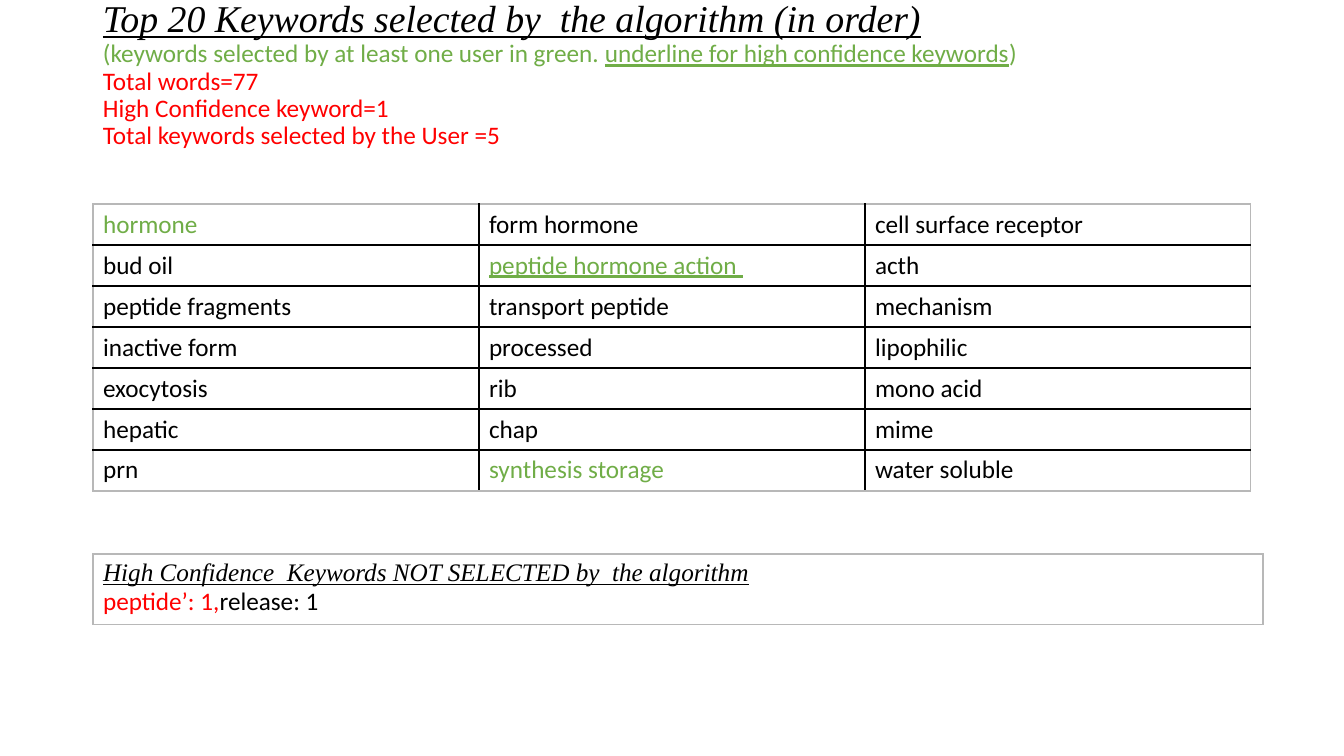
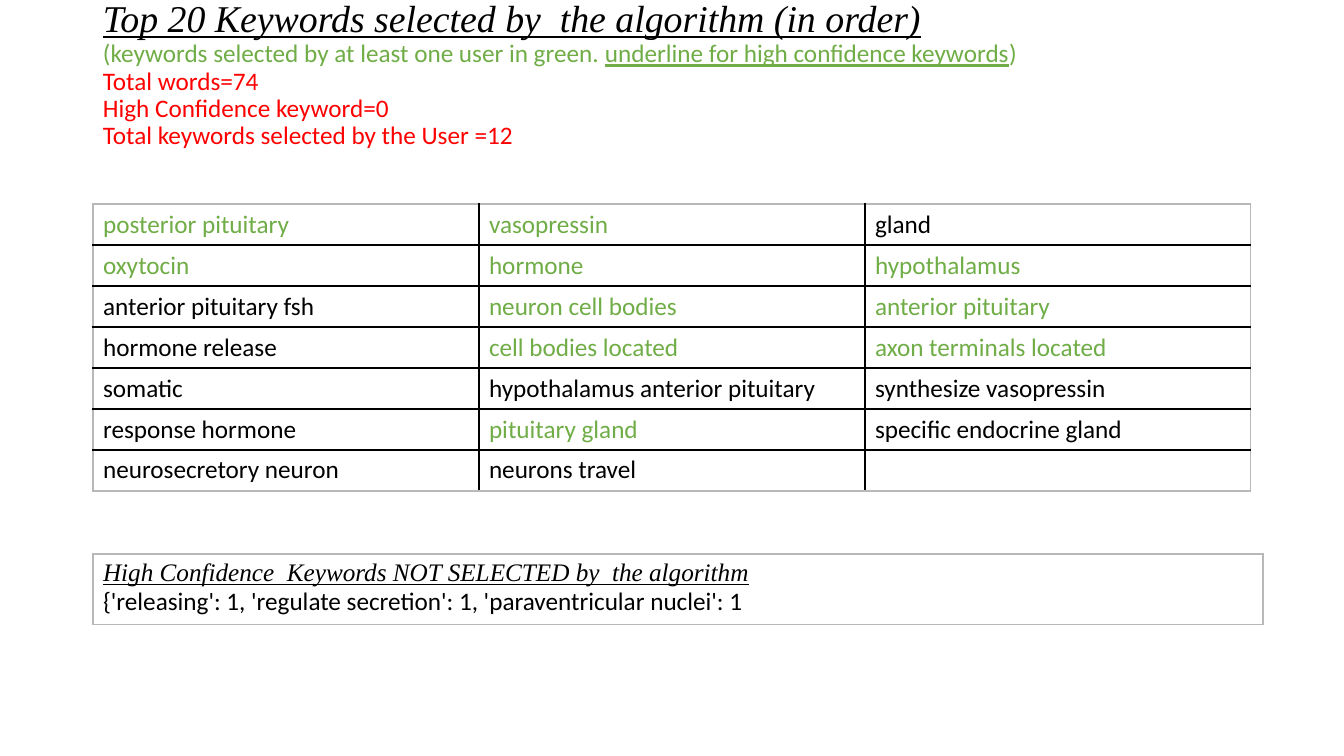
import pptx
import pptx.dml.color
import pptx.enum.text
import pptx.oxml
import pptx.oxml.ns
import pptx.util
from dataclasses import dataclass

PX = 914400 / 100.8  # EMU per px


@dataclass(frozen=True)
class Theme:
    ink: str = "000000"
    green: str = "70AD47"
    red: str = "FF0000"
    frame: str = "B8B8B8"
    heading_font: str = "Times New Roman"
    body_font: str = "Calibri"
    title_size: int = 27
    body_size: int = 18
    rule: int = 1


T = Theme()
TITLE_BOX = (93, 40, 1159, 146)
GRID_BOX = (93, 204, 1158, 287)
MISSED_BOX = (93, 554, 1170, 70)

SLIDES = [
    dict(
        counts=(77, 1, 5),
        rows=[
            ("hormone", "form hormone", "cell surface receptor"),
            ("bud oil", "peptide hormone action ", "acth"),
            ("peptide fragments", "transport peptide", "mechanism"),
            ("inactive form", "processed", "lipophilic"),
            ("exocytosis", "rib", "mono acid"),
            ("hepatic", "chap", "mime"),
            ("prn", "synthesis storage", "water soluble"),
        ],
        picked={"hormone", "peptide hormone action ", "synthesis storage"},
        confident={"peptide hormone action "},
        missed=[("peptide’: 1,", T.red), ("release: 1", T.ink)],
    ),
    dict(
        counts=(74, 0, 12),
        rows=[
            ("posterior pituitary", "vasopressin", "gland"),
            ("oxytocin", "hormone", "hypothalamus"),
            ("anterior pituitary fsh", "neuron cell bodies", "anterior pituitary"),
            ("hormone release", "cell bodies located", "axon terminals located"),
            ("somatic", "hypothalamus anterior pituitary", "synthesize vasopressin"),
            ("response hormone", "pituitary gland", "specific endocrine gland"),
            ("neurosecretory neuron", "neurons travel", ""),
        ],
        picked={"posterior pituitary", "vasopressin", "oxytocin", "hormone",
                "hypothalamus", "neuron cell bodies", "anterior pituitary",
                "cell bodies located", "axon terminals located", "pituitary gland"},
        confident=set(),
        missed=[("{'releasing': 1, 'regulate secretion': 1, 'paraventricular nuclei': 1",
                 T.ink)],
    ),
]


def emu(*lengths):
    return [pptx.util.Emu(round(n * PX)) for n in lengths]


# Text
def add_run(p, text, color=T.ink, underline=False):
    r = p.add_run()
    r.text = text
    r.font.name = T.body_font
    r.font.size = pptx.util.Pt(T.body_size)
    r.font.color.rgb = pptx.dml.color.RGBColor.from_string(color)
    r.font.underline = underline
    return r


def add_heading(p, text, size):
    r = add_run(p, text, underline=True)
    r.font.name = T.heading_font
    r.font.size = pptx.util.Pt(size)
    r.font.italic = True


# Tables
def set_borders(cell, colors):
    tc_pr = cell._tc.get_or_add_tcPr()
    for side, color in zip("LRTB", colors):
        tc_pr.append(pptx.oxml.parse_xml(
            f'<a:ln{side} {pptx.oxml.ns.nsdecls("a")} w="{T.rule * 12700}">'
            f'<a:solidFill><a:srgbClr val="{color}"/></a:solidFill></a:ln{side}>'))


def add_grid(s, box, rows, cols):
    """Add an unfilled table with dark inner rules and a pale frame."""
    table = s.shapes.add_table(rows, cols, *emu(*box)).table
    table.first_row = table.horz_banding = False
    for i in range(rows):
        for j in range(cols):
            cell = table.cell(i, j)
            edges = (j == 0, j == cols - 1, i == 0, i == rows - 1)
            set_borders(cell, [T.frame if edge else T.ink for edge in edges])
            cell.fill.background()
    return table


# Regions
def title_block(s, box, counts):
    tf = s.shapes.add_textbox(*emu(*box)).text_frame
    tf.word_wrap = True
    tf.vertical_anchor = pptx.enum.text.MSO_ANCHOR.BOTTOM
    tf.margin_top, tf.margin_bottom = emu(0, 36)
    p = tf.paragraphs[0]
    add_heading(p, "Top 20 Keywords selected by  the algorithm (in order)", T.title_size)
    p = tf.add_paragraph()
    add_run(p, "(keywords selected by at least one user in green. ", T.green)
    add_run(p, "underline for high confidence keywords", T.green, True)
    add_run(p, ")", T.green)
    labels = ("Total words=", "High Confidence keyword=",
              "Total keywords selected by the User =")
    for label, count in zip(labels, counts):
        add_run(tf.add_paragraph(), f"{label}{count}", T.red)
    for p in tf.paragraphs:
        p.line_spacing = 0.9


def keyword_grid(s, box, rows, picked, confident):
    table = add_grid(s, box, len(rows), len(rows[0]))
    for i, row in enumerate(rows):
        for j, word in enumerate(row):
            if word:
                add_run(table.cell(i, j).text_frame.paragraphs[0], word,
                        T.green if word in picked else T.ink, word in confident)


def missed_block(s, box, missed):
    tf = add_grid(s, box, 1, 1).cell(0, 0).text_frame
    add_heading(tf.paragraphs[0],
                "High Confidence  Keywords NOT SELECTED by  the algorithm", T.body_size)
    p = tf.add_paragraph()
    for text, color in missed:
        add_run(p, text, color)


def keyword_slide(prs, counts, rows, picked, confident, missed):
    s = prs.slides.add_slide(prs.slide_layouts[6])
    title_block(s, TITLE_BOX, counts)
    keyword_grid(s, GRID_BOX, rows, picked, confident)
    missed_block(s, MISSED_BOX, missed)


def main():
    prs = pptx.Presentation()
    prs.slide_width, prs.slide_height = emu(1344, 756)
    for data in SLIDES:
        keyword_slide(prs, **data)
    prs.save("out.pptx")


if __name__ == "__main__":
    main()
